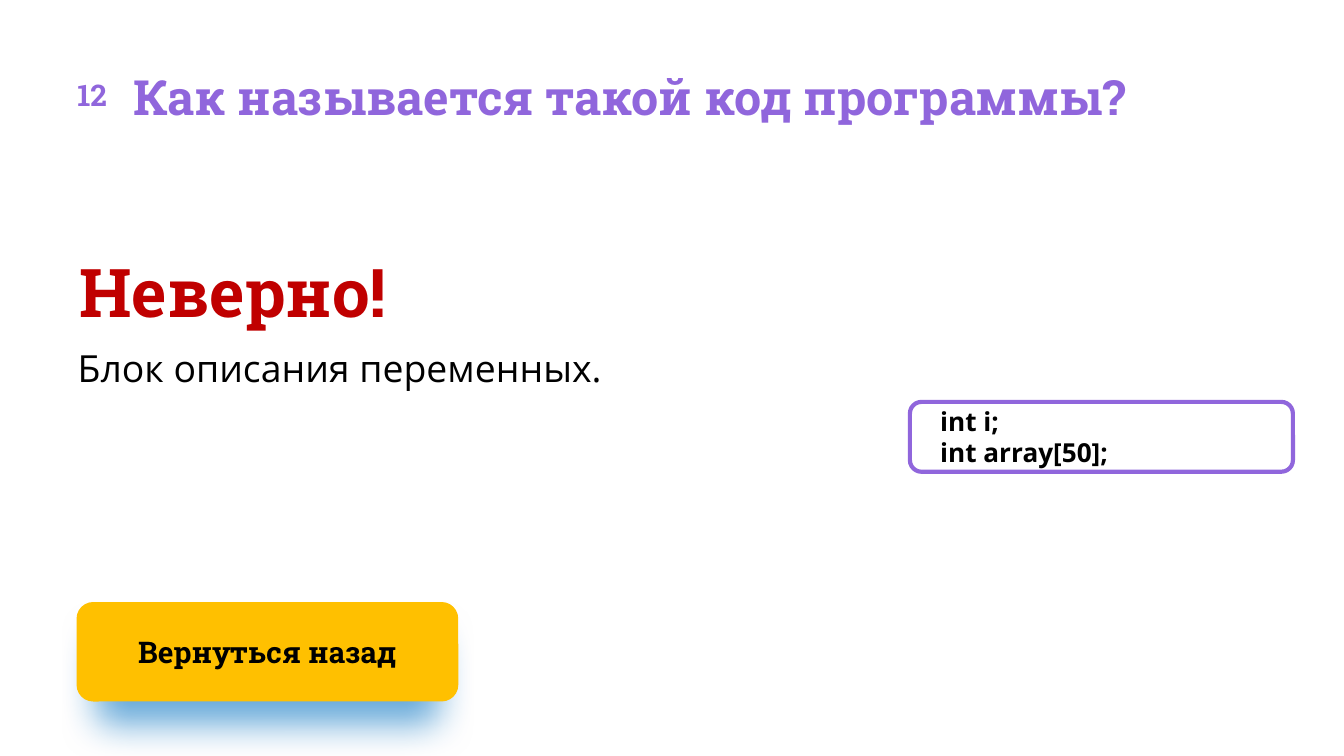
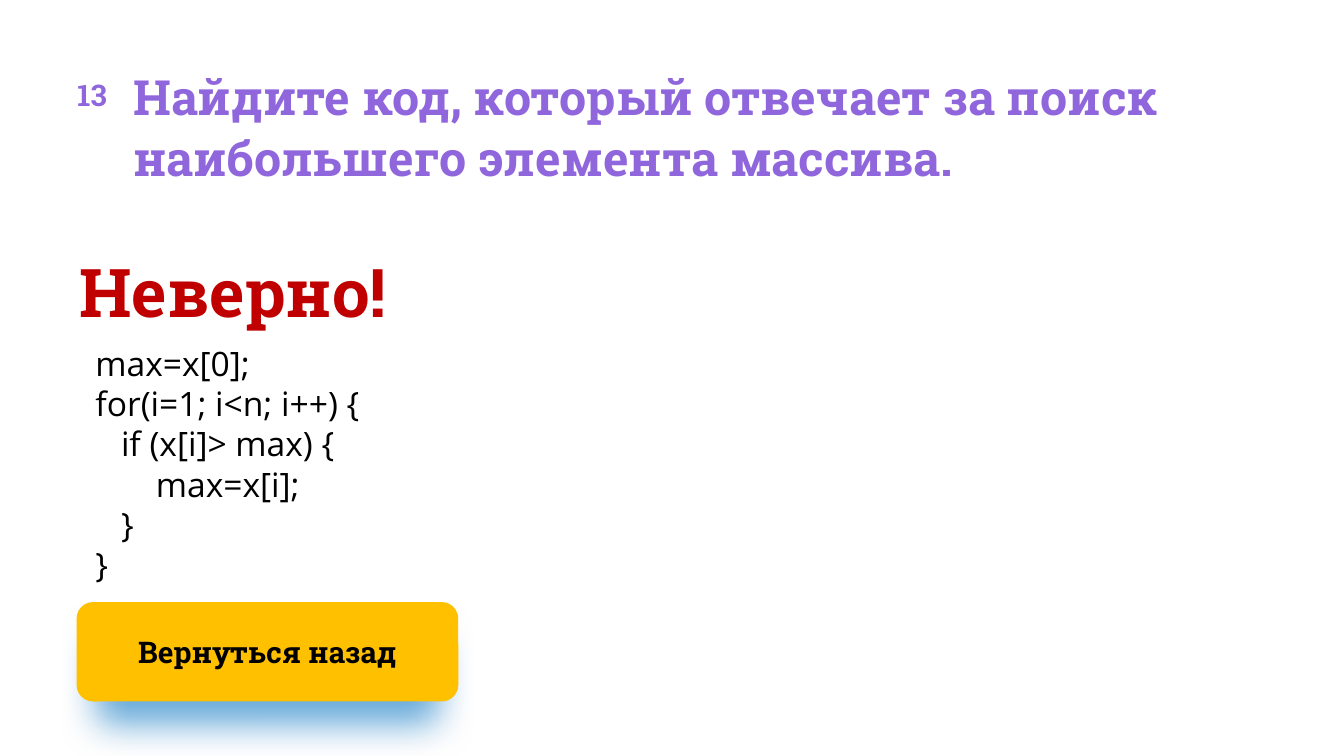
from pptx import Presentation
from pptx.dml.color import RGBColor
from pptx.enum.shapes import MSO_SHAPE
from pptx.enum.text import MSO_ANCHOR, MSO_AUTO_SIZE, PP_ALIGN
from pptx.oxml import parse_xml
from pptx.oxml.ns import nsdecls, qn
from pptx.util import Pt

PX = 9144  # 100 px to the inch
ROUND = MSO_SHAPE.ROUNDED_RECTANGLE
TOP, MIDDLE = MSO_ANCHOR.TOP, MSO_ANCHOR.MIDDLE
LEFT, CENTER = PP_ALIGN.LEFT, PP_ALIGN.CENTER
NO_FIT = MSO_AUTO_SIZE.NONE

SLAB, SANS = "Roboto Slab", "Open Sans"
VIOLET, RED, YELLOW, BLUE, BLACK = "9066DC", "C00000", "FFC000", "0070C0", "000000"


def rgb(color):
    return RGBColor.from_string(color)


def write(sp, at, lines, size, font=SLAB, color=BLACK, bold=True, align=LEFT,
          anchor=TOP, insets=(0, 0, 0, 0), spacing=None, wrap=True):
    """Place sp and fill it with (text, indent) lines."""
    sp.left, sp.top, sp.width, sp.height = (v * PX for v in at)
    tf = sp.text_frame
    tf.word_wrap, tf.auto_size, tf.vertical_anchor = wrap, NO_FIT, anchor
    tf.margin_left, tf.margin_top, tf.margin_right, tf.margin_bottom = (
        v * PX for v in insets)
    for i, (text, indent) in enumerate(lines):
        p = tf.add_paragraph() if i else tf.paragraphs[0]
        p.alignment = align
        if spacing:
            p.line_spacing = spacing
        if indent:
            pPr = p._p.get_or_add_pPr()
            pPr.set("marL", str(indent * PX))
            pPr.set("indent", "0")
        r = p.add_run()
        r.text = text
        r.font.name, r.font.size, r.font.bold = font, Pt(size), bold
        r.font.color.rgb = rgb(color)


# Slide contents
questions = [
    dict(number="12", title="Как называется такой код программы?", title_height=44,
         answer=dict(at=(48, 252, 413, 44), lines=[("Блок описания переменных.", 0)],
                     size=20, insets=(10, 5, 10, 5), wrap=False),
         sample=[("int i;", 20), ("int array[50];", 20)]),
    dict(number="13", title_height=90,
         title="Найдите код, который отвечает за поиск наибольшего элемента массива.",
         answer=dict(at=(57, 255, 515, 182), size=18, insets=(14, 0, 0, 0),
                     lines=[("max=x[0];", 0), ("for(i=1; i<n; i++) {", 0),
                            ("if (x[i]> max) {", 19), ("max=x[i];", 45),
                            ("}", 19), ("}", 0)]),
         sample=None),
]

# Widescreen 16:9
prs = Presentation()
prs.slide_width = 1000 * PX
prs.slide_height = prs.slide_width * 9 // 16

for q in questions:
    s = prs.slides.add_slide(prs.slide_layouts[5])

    # Back button with a soft, narrower shadow below
    sp = s.shapes.add_shape(ROUND, 0, 0, 0, 0)
    sp.shadow.inherit = False
    sp.fill.solid()
    sp.fill.fore_color.rgb = rgb(YELLOW)
    sp.line.fill.background()
    write(sp, (57, 448, 284, 74), [("Вернуться назад", 0)], 16, align=CENTER,
          anchor=MIDDLE, insets=(39, 20, 39, 20))
    sp._element.spPr.find(qn("a:effectLst")).append(parse_xml(
        f'<a:outerShdw {nsdecls("a")} blurRad="{Pt(20)}" dist="{Pt(15)}" dir="5400000" '
        f'sx="90000" sy="90000" algn="ctr" rotWithShape="0"><a:srgbClr val="{BLUE}">'
        '<a:alpha val="60000"/></a:srgbClr></a:outerShdw>'))

    # Verdict
    write(s.shapes.add_textbox(0, 0, 0, 0), (59, 183, 280, 61), [("Неверно!", 0)], 36,
          color=RED, spacing=1.06)

    # Question title and number
    write(s.shapes.title, (99, 47, 887, q["title_height"]), [(q["title"], 0)], 26,
          color=VIOLET, spacing=1.06)
    sp = s.shapes.add_shape(ROUND, 0, 0, 0, 0)
    sp.shadow.inherit = False
    sp.fill.background()
    sp.line.fill.background()
    write(sp, (39, 41, 59, 59), [(q["number"], 0)], 16, color=VIOLET,
          align=CENTER, anchor=MIDDLE)

    # Chosen answer
    write(s.shapes.add_textbox(0, 0, 0, 0), font=SANS, bold=False, **q["answer"])

    # Framed code sample
    if q["sample"]:
        sp = s.shapes.add_shape(ROUND, 0, 0, 0, 0)
        sp.shadow.inherit = False
        sp.fill.background()
        sp.line.color.rgb, sp.line.width = rgb(VIOLET), Pt(2.25)
        write(sp, (677, 299, 285, 52), q["sample"], 14, font=SANS)

prs.save("out.pptx")
